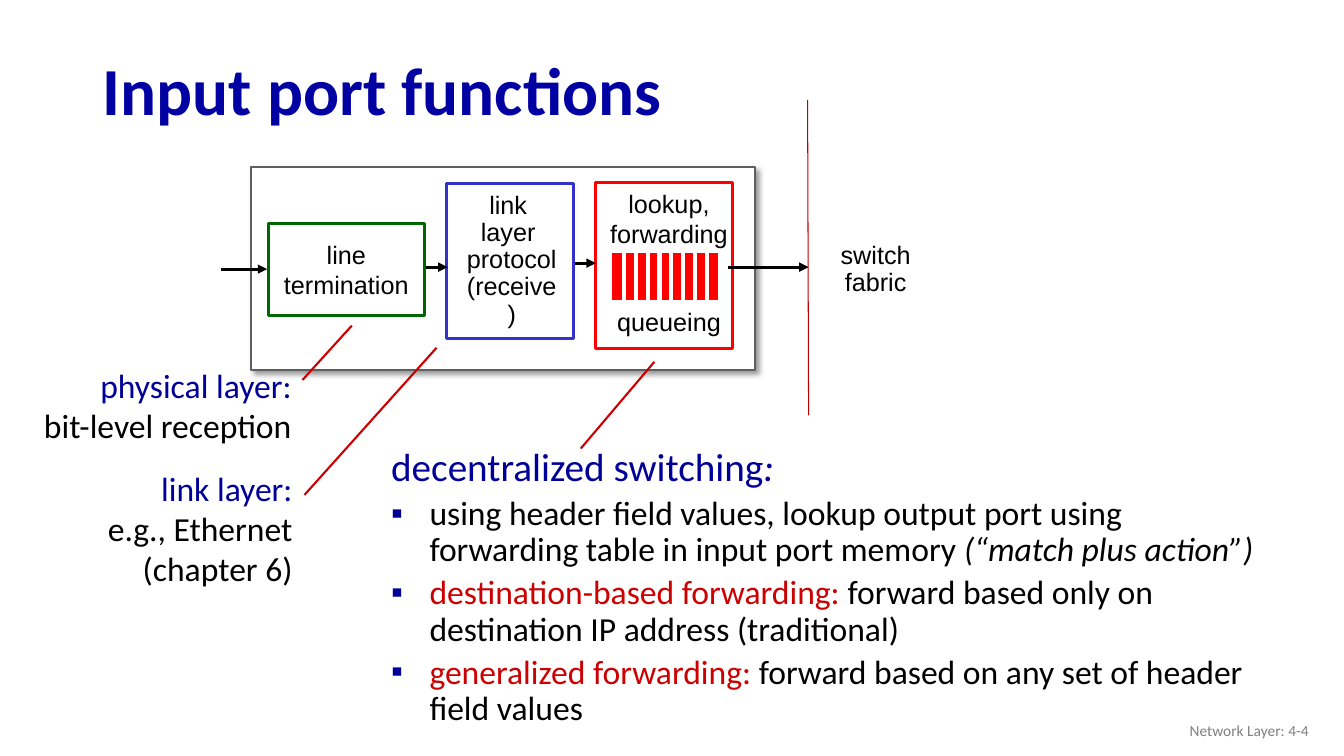
"""Build the slide on input port functions of a router."""
from lxml import etree
from pptx import Presentation
from pptx import util as u
from pptx.dml.color import RGBColor
from pptx.enum import shapes, text
from pptx.oxml import ns

BLACK, WHITE, NAVY, CRIMSON = "000000", "FFFFFF", "000099", "CC0000"
LEFT, CENTER, RIGHT = text.PP_ALIGN.LEFT, text.PP_ALIGN.CENTER, text.PP_ALIGN.RIGHT


def colour(value):
    """Turn a hex string into a colour."""
    return RGBColor.from_string(value)


def add_child(parent, tag, **attributes):
    """Append a drawing element with its attributes."""
    return etree.SubElement(parent, ns.qn(tag), attributes)


def add_run(paragraph, words, size, font="Calibri", color=BLACK, bold=False, italic=False):
    """Add one formatted run to a paragraph."""
    run = paragraph.add_run()
    run.text = words
    run.font.size, run.font.name = u.Pt(size), font
    run.font.bold, run.font.italic = bold, italic
    run.font.color.rgb = colour(color)


def add_lines(shape, lines, size, font="Arial", align=CENTER, spacing=1.0,
              anchor=text.MSO_ANCHOR.MIDDLE, wrap=False):
    """Fill a shape with one paragraph for each (words, colour) pair."""
    frame = shape.text_frame
    frame.word_wrap, frame.vertical_anchor = wrap, anchor
    for index, (words, color) in enumerate(lines):
        paragraph = frame.add_paragraph() if index else frame.paragraphs[0]
        paragraph.alignment, paragraph.line_spacing = align, spacing
        add_run(paragraph, words, size, font, color)


def add_textbox(slide, box, lines, size, **options):
    """Add a text box in the given box of inches."""
    shape = slide.shapes.add_textbox(*map(u.Inches, box))
    add_lines(shape, lines, size, **options)
    return shape


def add_box(slide, box, fill=None, line=None, width=2.25):
    """Add a plain rectangle without a shadow."""
    shape = slide.shapes.add_shape(shapes.MSO_SHAPE.RECTANGLE, *map(u.Inches, box))
    shape.shadow.inherit = False
    if fill:
        shape.fill.solid()
        shape.fill.fore_color.rgb = colour(fill)
    else:
        shape.fill.background()
    if line:
        shape.line.color.rgb, shape.line.width = colour(line), u.Pt(width)
    else:
        shape.line.fill.background()
    return shape


def add_line(slide, start, end, color, width, arrow=False):
    """Add a straight line, with an arrowhead at its end if asked."""
    line = slide.shapes.add_connector(
        shapes.MSO_CONNECTOR.STRAIGHT, *map(u.Inches, (*start, *end)))
    line.line.color.rgb, line.line.width = colour(color), u.Pt(width)
    if arrow:
        add_child(line.line._get_or_add_ln(), "a:tailEnd", type="triangle")
    add_child(line._element.spPr, "a:effectLst")


def place(shape, box):
    """Move a placeholder to the given box of inches."""
    shape.left, shape.top, shape.width, shape.height = map(u.Inches, box)


def add_title(slide, box):
    """Place the slide title."""
    title = slide.shapes.title
    place(title, box)
    title.text_frame.vertical_anchor = text.MSO_ANCHOR.MIDDLE
    paragraph = title.text_frame.paragraphs[0]
    paragraph.alignment, paragraph.line_spacing = LEFT, 0.9
    add_run(paragraph, "Input port functions", 48, color="0000A3", bold=True)


def add_port_frame(slide, box):
    """Draw the shadowed frame of the input port."""
    frame = add_box(slide, box, WHITE, "5F5F5F", 1.5)
    effects = frame._element.spPr.find(ns.qn("a:effectLst"))
    shadow = add_child(effects, "a:outerShdw", blurRad=str(u.Pt(4)), dist=str(u.Pt(3)),
                       dir="2700000", algn="tl", rotWithShape="0")
    add_child(add_child(shadow, "a:srgbClr", val=BLACK), "a:alpha", val="40000")


def add_queue(slide, box):
    """Draw the packet queue as a bar cut by evenly spaced dividers."""
    left, top, width, height = box
    add_box(slide, box, "FF0000", WHITE, 3)
    for index in range(8):
        x = left + 0.14 + index * 0.117
        add_line(slide, (x, top), (x, top + height), WHITE, 3)


def add_port(slide, box):
    """Draw the input port, its three stages and the switch fabric."""
    left, top, _, _ = box

    def inside(x, y, *size):
        return (left + x, top + y, *size)

    add_port_frame(slide, box)
    termination = add_box(slide, inside(0.17, 0.56, 1.55, 0.91), WHITE, "006600")
    add_lines(termination, [("line", BLACK), ("termination", BLACK)], 18)

    add_box(slide, inside(3.42, 0.15, 1.36, 1.65), WHITE, "FF0000")
    lookup = add_textbox(slide, inside(3.46, 0.16, 1.37, 1.6),
                         [(words, BLACK) for words in ("lookup,", "forwarding", "queueing")],
                         18, anchor=text.MSO_ANCHOR.TOP)
    lookup.text_frame.paragraphs[2].space_before = u.Pt(41)
    add_queue(slide, inside(3.56, 0.83, 1.09, 0.51))

    add_box(slide, inside(1.94, 0.16, 1.26, 1.54), None, "3333CC")
    add_textbox(slide, inside(2.01, 0.47, 1.15, 0.91),
                [(words, BLACK) for words in ("link ", "layer ", "protocol", "(receive)")],
                18, spacing=0.9)

    add_line(slide, inside(5.52, -0.67), inside(5.53, 2.46), "C00000", 0.75)
    fabric = add_box(slide, inside(5.62, 0.56, 1.15, 0.91), WHITE)
    add_lines(fabric, [("switch", BLACK), ("fabric", BLACK)], 18, spacing=0.9)

    for start, end, y in ((-0.3, 0.16, 1.01), (1.74, 1.95, 0.99),
                          (3.21, 3.42, 0.95), (4.73, 5.53, 0.99)):
        add_line(slide, inside(start, y), inside(end, y), BLACK, 2.25, arrow=True)


def add_layer_note(slide, box, heading, details, pointer):
    """Add a right-aligned note and the line to the stage it explains."""
    lines = [(heading, NAVY), *((words, BLACK) for words in details)]
    add_textbox(slide, box, lines, 24, font="Calibri", align=RIGHT,
                anchor=text.MSO_ANCHOR.TOP)
    add_line(slide, *pointer, CRIMSON, 1.5)


def add_switching_list(slide, box):
    """Fill the body placeholder with the list on decentralized switching."""
    body = slide.placeholders[1]
    place(body, box)
    frame = body.text_frame
    frame.auto_size, frame.word_wrap = text.MSO_AUTO_SIZE.NONE, True
    items = (
        (28, ("decentralized switching", NAVY, False), (":", NAVY, True)),
        (24, ("using header field values, lookup output port using forwarding table "
              "in input port memory ", BLACK, False),
         ("(“match plus action”)", BLACK, True)),
        (24, ("destination-based forwarding: ", CRIMSON, False),
         ("forward based only on destination IP address (traditional)", BLACK, False)),
        (24, ("generalized forwarding: ", CRIMSON, False),
         ("forward based on any set of header field values", BLACK, False)),
    )
    for index, (size, *runs) in enumerate(items):
        paragraph = frame.add_paragraph() if index else frame.paragraphs[0]
        paragraph.line_spacing, paragraph.space_before = 0.9, u.Pt(size * 0.2)
        properties = paragraph._p.get_or_add_pPr()
        properties.set("marL", str(u.Inches(0.38)))
        properties.set("indent", str(u.Inches(-0.38)))
        if index:
            add_child(add_child(properties, "a:buClr"), "a:srgbClr", val=NAVY)
            add_child(properties, "a:buFont", typeface="Arial")
            add_child(properties, "a:buChar", char="▪")
        else:
            add_child(properties, "a:buNone")
        for words, color, italic in runs:
            add_run(paragraph, words, size, color=color, italic=italic)


def main():
    """Build and save the presentation."""
    presentation = Presentation()
    presentation.slide_width, presentation.slide_height = u.Inches(13.33), u.Inches(7.5)
    slide = presentation.slides.add_slide(presentation.slide_layouts[1])
    add_title(slide, (0.92, 0.44, 11.5, 0.98))
    add_port(slide, (2.49, 1.66, 5, 2.01))
    add_layer_note(slide, (0.28, 3.57, 2.71, 0.91), "physical layer:",
                   ["bit-level reception"], ((3, 3.77), (3.49, 3.23)))
    add_layer_note(slide, (0.95, 4.59, 2.05, 1.31), "link layer:",
                   ["e.g., Ethernet", "(chapter 6)"], ((3.02, 4.91), (4.33, 3.45)))
    add_switching_list(slide, (3.78, 4.39, 8.96, 2.92))
    add_line(slide, (5.76, 4.45), (6.49, 3.59), CRIMSON, 1.5)
    add_textbox(slide, (10.08, 7.05, 3, 0.4), [("Network Layer: 4-4", "808080")], 11,
                font="Calibri", align=RIGHT, wrap=True)
    presentation.save("out.pptx")


if __name__ == "__main__":
    main()
